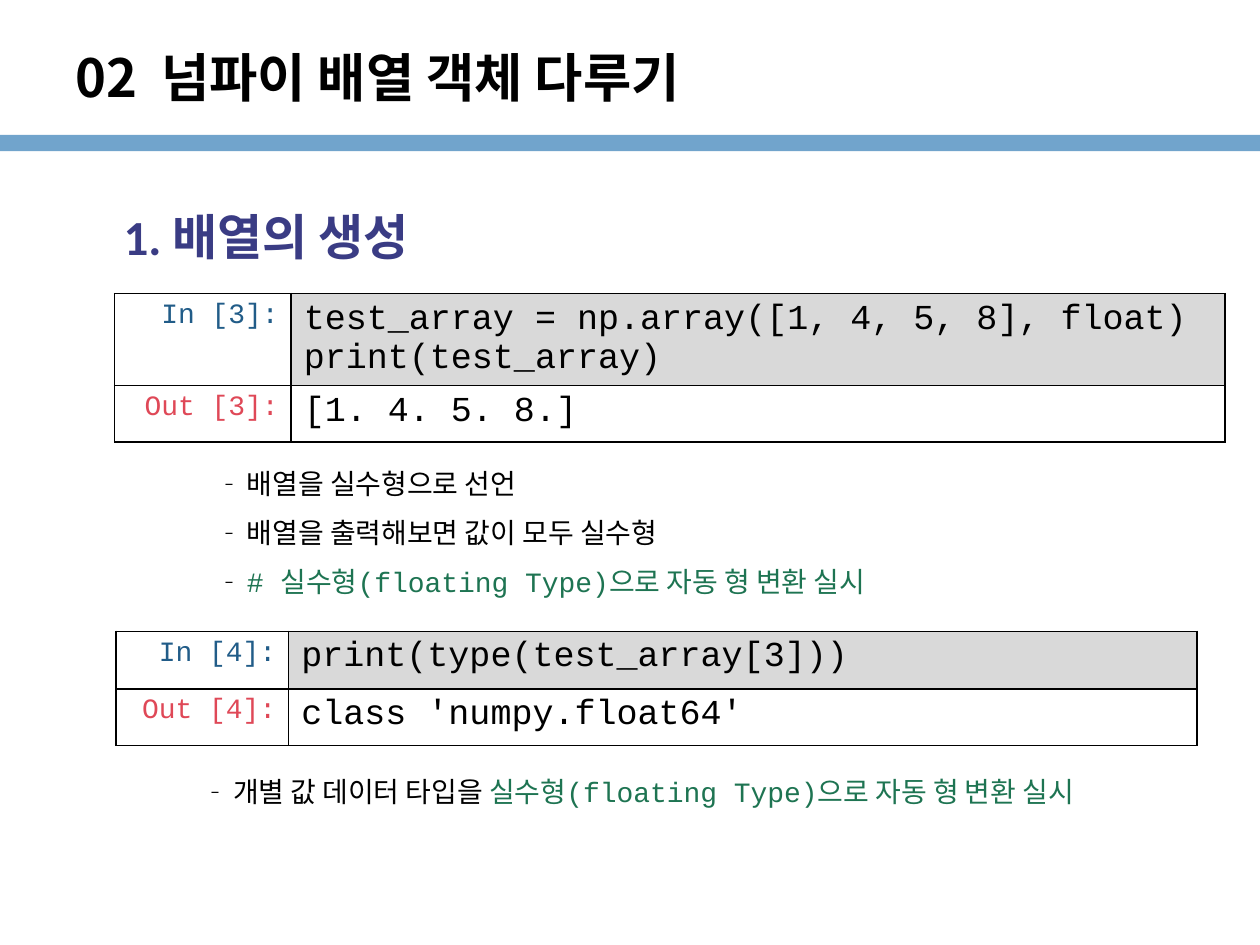
from dataclasses import dataclass

import pptx
import pptx.dml.color
import pptx.enum.shapes
import pptx.enum.text
import pptx.oxml
import pptx.oxml.ns
import pptx.util
from lxml import etree
from pptx.util import Cm, Pt

qn = pptx.oxml.ns.qn


@dataclass(frozen=True)
class Theme:
    korean: str = "Noto Sans CJK KR"
    latin: str = "Calibri"
    code: str = "Courier New"
    black: str = "000000"
    white: str = "FFFFFF"
    bar: str = "71A4CC"
    heading: str = "3A3C84"
    code_fill: str = "D9D9D9"
    in_label: str = "215C88"
    out_label: str = "DF4857"
    note: str = "1E7452"
    title_size: int = 30
    heading_size: int = 28
    code_size: int = 20
    small_size: int = 16


T = Theme()
PLAIN = (T.korean, T.black)
NOTE = (T.code, T.note)


def rgb(color):
    return pptx.dml.color.RGBColor.from_string(color)


def add_run(p, text, font, size, color, bold=False):
    r = p.add_run()
    r.text = text
    r.font.name, r.font.size, r.font.bold = font, Pt(size), bold
    r.font.color.rgb = rgb(color)
    ea = etree.Element(qn("a:ea"), typeface=T.korean)
    r.font._element.find(qn("a:latin")).addnext(ea)
    return r


def place(sp, left, top, width, height):
    sp.left, sp.top, sp.width, sp.height = map(Cm, (left, top, width, height))


def indent(p, left, first):
    pPr = p._p.get_or_add_pPr()
    pPr.set("marL", str(Cm(left)))
    pPr.set("indent", str(Cm(first)))
    return pPr


def add_bar(s):
    sp = s.shapes.add_shape(pptx.enum.shapes.MSO_SHAPE.RECTANGLE,
                            Cm(0), Cm(2.72), Cm(25.4), Cm(0.33))
    sp.shadow.inherit = False
    sp.fill.solid()
    sp.fill.fore_color.rgb = rgb(T.bar)
    sp.line.fill.background()


def fill_title(sp, number, text):
    place(sp, 1.27, 0.76, 19.89, 1.57)
    tf = sp.text_frame
    tf.auto_size = pptx.enum.text.MSO_AUTO_SIZE.NONE
    tf.vertical_anchor = pptx.enum.text.MSO_ANCHOR.MIDDLE
    p = tf.paragraphs[0]
    p.alignment = pptx.enum.text.PP_ALIGN.LEFT
    style = (T.korean, T.title_size, T.black, True)
    add_run(p, number, *style)
    gap = add_run(p, " ", *style)
    gap.font._element.set("spc", "670")
    add_run(p, text, *style)


def fill_heading(sp, text):
    place(sp, 1.27, 3.73, 22.86, 10.87)
    tf = sp.text_frame
    tf.auto_size = pptx.enum.text.MSO_AUTO_SIZE.NONE
    p = tf.paragraphs[0]
    p.line_spacing, p.space_before = 1.25, Pt(7.7)
    etree.SubElement(indent(p, 0.97, 0), qn("a:buNone"))
    add_run(p, text, T.latin, T.heading_size, T.heading, True)


def add_borders(cell):
    tcPr = cell._tc.get_or_add_tcPr()
    for side in ("a:lnL", "a:lnR", "a:lnT", "a:lnB"):
        ln = etree.SubElement(tcPr, qn(side), w=str(Pt(1)))
        fill = etree.SubElement(ln, qn("a:solidFill"))
        etree.SubElement(fill, qn("a:srgbClr"), val=T.black)


def fill_cell(cell, lines, size, color, fill, align):
    add_borders(cell)
    cell.fill.solid()
    cell.fill.fore_color.rgb = rgb(fill)
    tf = cell.text_frame
    for i, line in enumerate(lines):
        p = tf.add_paragraph() if i else tf.paragraphs[0]
        p.alignment = align
        add_run(p, line, T.code, size, color)


def add_notebook(s, left, top, widths, heights, number, code, output):
    """Add a table with one input row and one output row."""
    align = pptx.enum.text.PP_ALIGN
    frame = s.shapes.add_table(2, 2, Cm(left), Cm(top),
                               Cm(sum(widths)), Cm(sum(heights)))
    table = frame.table
    table.first_row = table.horz_banding = False
    for column, width in zip(table.columns, widths):
        column.width = Cm(width)
    rows = (("In", T.in_label, code, T.code_fill),
            ("Out", T.out_label, output, T.white))
    for i, (label, color, lines, fill) in enumerate(rows):
        table.rows[i].height = Cm(heights[i])
        fill_cell(table.cell(i, 0), [f"{label} [{number}]:"], T.small_size,
                  color, T.white, align.RIGHT)
        fill_cell(table.cell(i, 1), lines, T.code_size,
                  T.black, fill, align.LEFT)


def add_dash(p):
    pPr = indent(p, 4.45, -0.64)
    color = etree.SubElement(pPr, qn("a:buClr"))
    etree.SubElement(color, qn("a:srgbClr"), val=T.black)
    etree.SubElement(pPr, qn("a:buFont"), typeface=T.korean)
    etree.SubElement(pPr, qn("a:buChar"), char="‐")


def add_notes_list(s, left, top, width, height, items):
    """Add a dashed list; each item is a list of (text, style) runs."""
    tf = s.shapes.add_textbox(*map(Cm, (left, top, width, height))).text_frame
    tf.word_wrap = True
    tf.auto_size = pptx.enum.text.MSO_AUTO_SIZE.SHAPE_TO_FIT_TEXT
    for i, runs in enumerate(items):
        p = tf.add_paragraph() if i else tf.paragraphs[0]
        p.level = 3
        p.line_spacing, p.space_before = 1.25, Pt(3.8)
        add_dash(p)
        for text, (font, color) in runs:
            add_run(p, text, font, T.small_size, color)


def main():
    prs = pptx.Presentation()
    prs.slide_width, prs.slide_height = Cm(25.4), Cm(19.05)
    s = prs.slides.add_slide(prs.slide_layouts[1])
    add_bar(s)
    fill_title(s.shapes.title, "02", "넘파이 배열 객체 다루기")
    fill_heading(s.placeholders[1], "1. 배열의 생성")
    add_notebook(s, 2.31, 5.92, (3.56, 18.82), (1.8, 1.14), 3,
                 ["test_array = np.array([1, 4, 5, 8], float)",
                  "print(test_array)"],
                 ["[1. 4. 5. 8.]"])
    add_notebook(s, 2.34, 12.73, (3.48, 18.31), (1.16, 1.14), 4,
                 ["print(type(test_array[3]))"],
                 ["class 'numpy.float64'"])
    conversion = "실수형(floating Type)으로 자동 형 변환 실시"
    add_notes_list(s, 0.28, 9.12, 22.86, 3.02, [
        [("배열을 실수형으로 선언", PLAIN)],
        [("배열을 출력해보면 값이 모두 실수형", PLAIN)],
        [("# " + conversion, NOTE)],
    ])
    add_notes_list(s, 0, 15.32, 22.3, 1.04, [
        [("개별 값 데이터 타입을 ", PLAIN), (conversion, NOTE)],
    ])
    prs.save("out.pptx")


if __name__ == "__main__":
    main()
